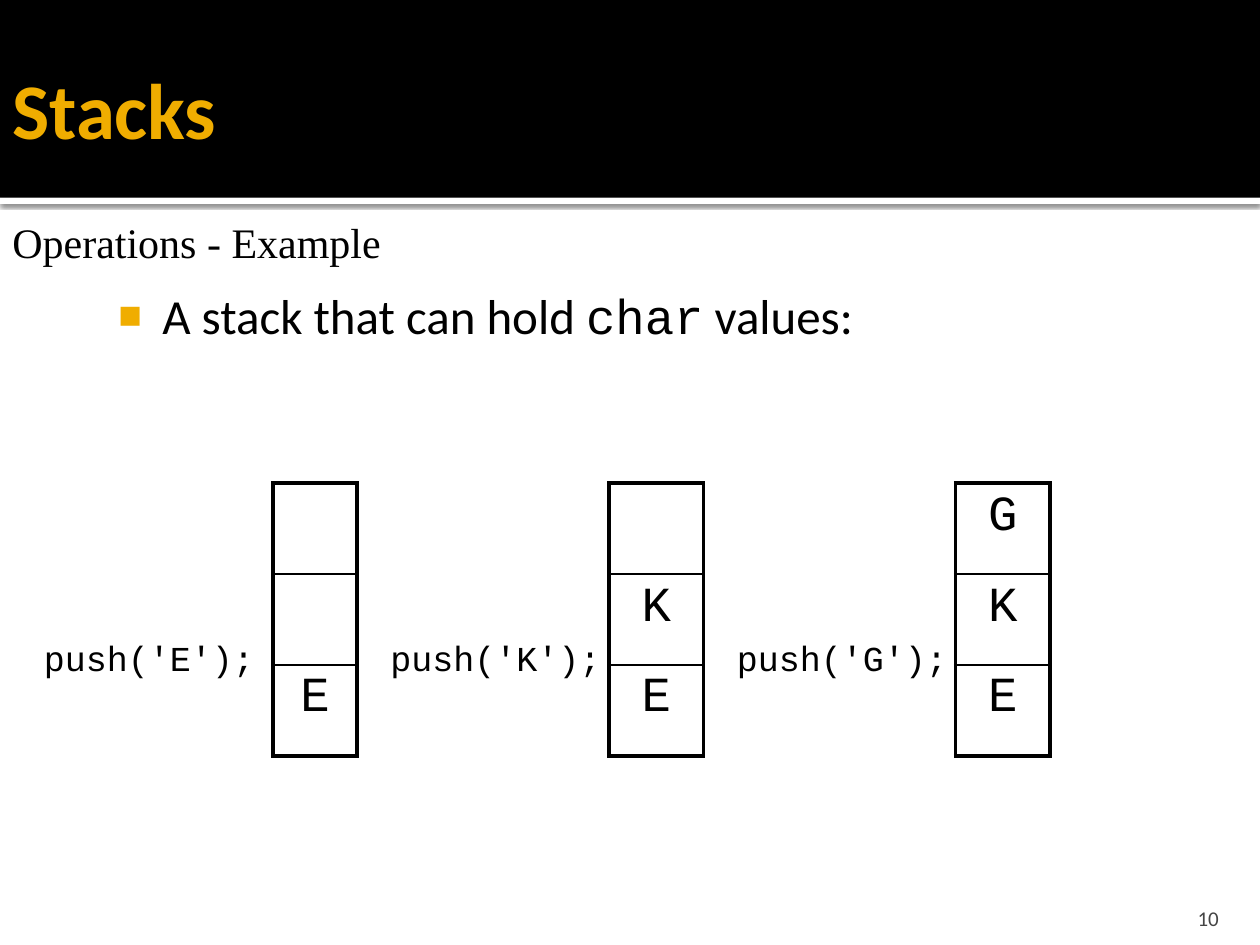
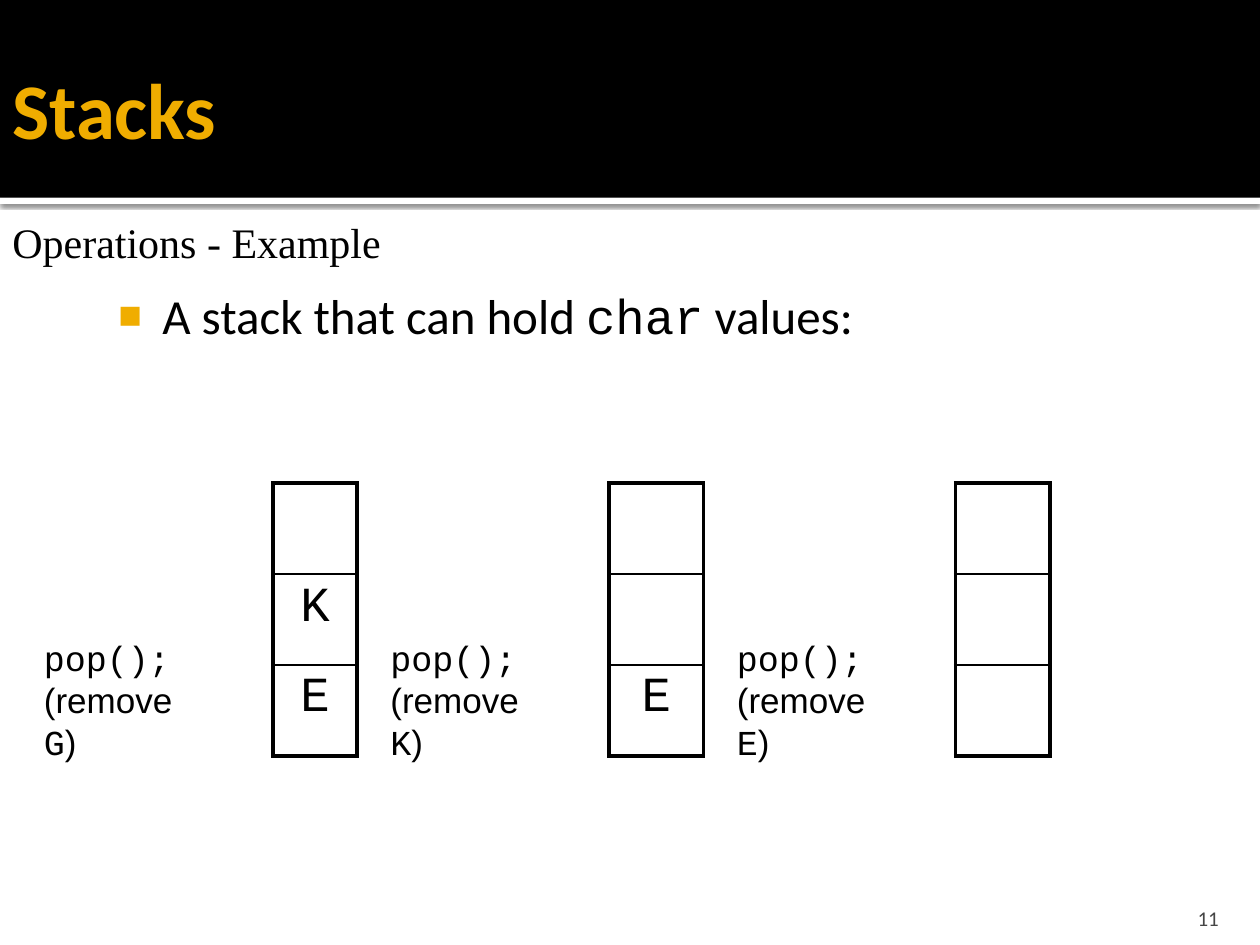
from lxml import etree
from pptx import Presentation
from pptx.dml.color import RGBColor
from pptx.enum import shapes, text
from pptx.oxml import parse_xml
from pptx.oxml.ns import nsdecls, qn
from pptx.util import Pt

COLORS = {"ink": "000000", "paper": "FFFFFF", "accent": "F0AD00", "number": "454545"}
BODY, CODE, SERIF, PLAIN = "Calibri", "Courier New", "Times New Roman", "Arial"
WIDTH, HEIGHT = 720, 540
STACK_COLUMNS = [(156, 48), (348, 54), (546, 54)]
STACK_TOP, CELL_HEIGHT = 276, 52
CALL_LEFT, CALL_STEP, CALL_TOP = 18, 198, 360
THICK, THIN = 2.25, 1


def rgb(name):
    return RGBColor.from_string(COLORS[name])


class Deck:
    def __init__(self):
        self.prs = Presentation()
        self.prs.slide_width, self.prs.slide_height = Pt(WIDTH), Pt(HEIGHT)
        self.slide = None

    def new_slide(self):
        self.slide = self.prs.slides.add_slide(self.prs.slide_layouts[6])
        self.slide.background.fill.solid()
        self.slide.background.fill.fore_color.rgb = rgb("paper")

    def band(self, top, height, color):
        band = self.slide.shapes.add_shape(
            shapes.MSO_SHAPE.RECTANGLE, 0, Pt(top), Pt(WIDTH), Pt(height))
        band.shadow.inherit = False
        band.fill.solid()
        band.fill.fore_color.rgb = rgb(color)
        band.line.fill.background()
        return band

    def shaded_band(self, top, height, color):
        effects = self.band(top, height, color)._element.spPr.find(qn("a:effectLst"))
        effects.append(parse_xml(
            f'<a:outerShdw {nsdecls("a")} blurRad="{Pt(2.5)}" dist="{Pt(0.8)}" '
            f'dir="5400000" rotWithShape="0"><a:srgbClr val="{COLORS["ink"]}">'
            '<a:alpha val="60000"/></a:srgbClr></a:outerShdw>'))

    def add_runs(self, paragraph, runs, size, color="ink", bold=False):
        for words, font in runs:
            run = paragraph.add_run()
            run.text = words
            run.font.name, run.font.size, run.font.bold = font, Pt(size), bold
            run.font.color.rgb = rgb(color)

    def text(self, box, lines, size, color="ink", bold=False, align=None,
             anchor=text.MSO_ANCHOR.TOP, insets=(7.2, 3.6, 7.2, 3.6)):
        frame = self.slide.shapes.add_textbox(*map(Pt, box)).text_frame
        frame.word_wrap = True
        frame.vertical_anchor = anchor
        (frame.margin_left, frame.margin_top,
         frame.margin_right, frame.margin_bottom) = map(Pt, insets)
        for index, runs in enumerate(lines):
            paragraph = frame.add_paragraph() if index else frame.paragraphs[0]
            paragraph.alignment = align
            self.add_runs(paragraph, runs, size, color, bold)
        return frame

    def bullet(self, box, runs, size):
        frame = self.text(box, [runs], size, insets=(4.3, 7.2, 7.2, 3.6))
        props = frame.paragraphs[0]._p.get_or_add_pPr()
        props.set("marL", str(Pt(34.5)))
        props.set("indent", str(-Pt(25.2)))
        color = etree.SubElement(props, qn("a:buClr"))
        etree.SubElement(color, qn("a:srgbClr")).set("val", COLORS["accent"])
        etree.SubElement(props, qn("a:buSzPct")).set("val", "80000")
        etree.SubElement(props, qn("a:buFont")).set("typeface", PLAIN)
        etree.SubElement(props, qn("a:buChar")).set("char", "■")

    def borders(self, cell, top, bottom):
        props = cell._tc.get_or_add_tcPr()
        sides = {"L": THICK, "R": THICK, "T": top, "B": bottom}
        for index, (side, width) in enumerate(sides.items()):
            props.insert(index, parse_xml(
                f'<a:ln{side} {nsdecls("a")} w="{Pt(width)}"><a:solidFill>'
                f'<a:srgbClr val="{COLORS["ink"]}"/></a:solidFill></a:ln{side}>'))

    def stack(self, left, width, letters):
        count = len(letters)
        table = self.slide.shapes.add_table(
            count, 1, Pt(left), Pt(STACK_TOP), Pt(width), Pt(count * CELL_HEIGHT)).table
        table.first_row = table.horz_banding = False
        for row, letter in enumerate(letters):
            table.rows[row].height = Pt(CELL_HEIGHT)
            cell = table.cell(row, 0)
            cell.fill.background()
            self.borders(cell, THIN if row else THICK, THIN if row < count - 1 else THICK)
            if letter.strip():
                paragraph = cell.text_frame.paragraphs[0]
                paragraph.alignment = text.PP_ALIGN.CENTER
                paragraph.space_before = Pt(5.6)
                self.add_runs(paragraph, [(letter, CODE)], 28)

    def example(self, number, steps, call_width):
        self.new_slide()
        self.shaded_band(113, 3.6, "paper")
        self.band(0, 113, "ink")
        self.bullet((54, 156, 606, 324),
                    [("A stack that can hold ", BODY), ("char", CODE), (" values:", BODY)], 28)
        for index, ((left, width), (call, letters)) in enumerate(zip(STACK_COLUMNS, steps)):
            self.stack(left, width, letters)
            self.text((CALL_LEFT + index * CALL_STEP, CALL_TOP, call_width, 31), call, 20)
        self.text((646, 510, 57.6, 21.6), [[(str(number), BODY)]], 12, "number",
                  align=text.PP_ALIGN.RIGHT, anchor=text.MSO_ANCHOR.BOTTOM,
                  insets=(7.2, 3.6, 7.2, 0))
        self.text((0, 120, 230, 36), [[("Operations - Example", SERIF)]], 24)
        self.text((0, 12, WIDTH, 99), [[("Stacks", BODY)]], 45, "accent", True,
                  anchor=text.MSO_ANCHOR.MIDDLE, insets=(7.2, 3.6, 3.6, 3.6))


def push(letter):
    return [[(f"push('{letter}');", CODE)]]


def pop(letter):
    return [[("pop();", CODE)], [("(remove ", PLAIN), (letter, CODE), (")", PLAIN)]]


deck = Deck()
deck.example(10, [(push("E"), "  E"), (push("K"), " KE"), (push("G"), "GKE")], 136)
deck.example(11, [(pop("G"), " KE"), (pop("K"), "  E"), (pop("E"), "   ")], 108)
deck.prs.save("out.pptx")
